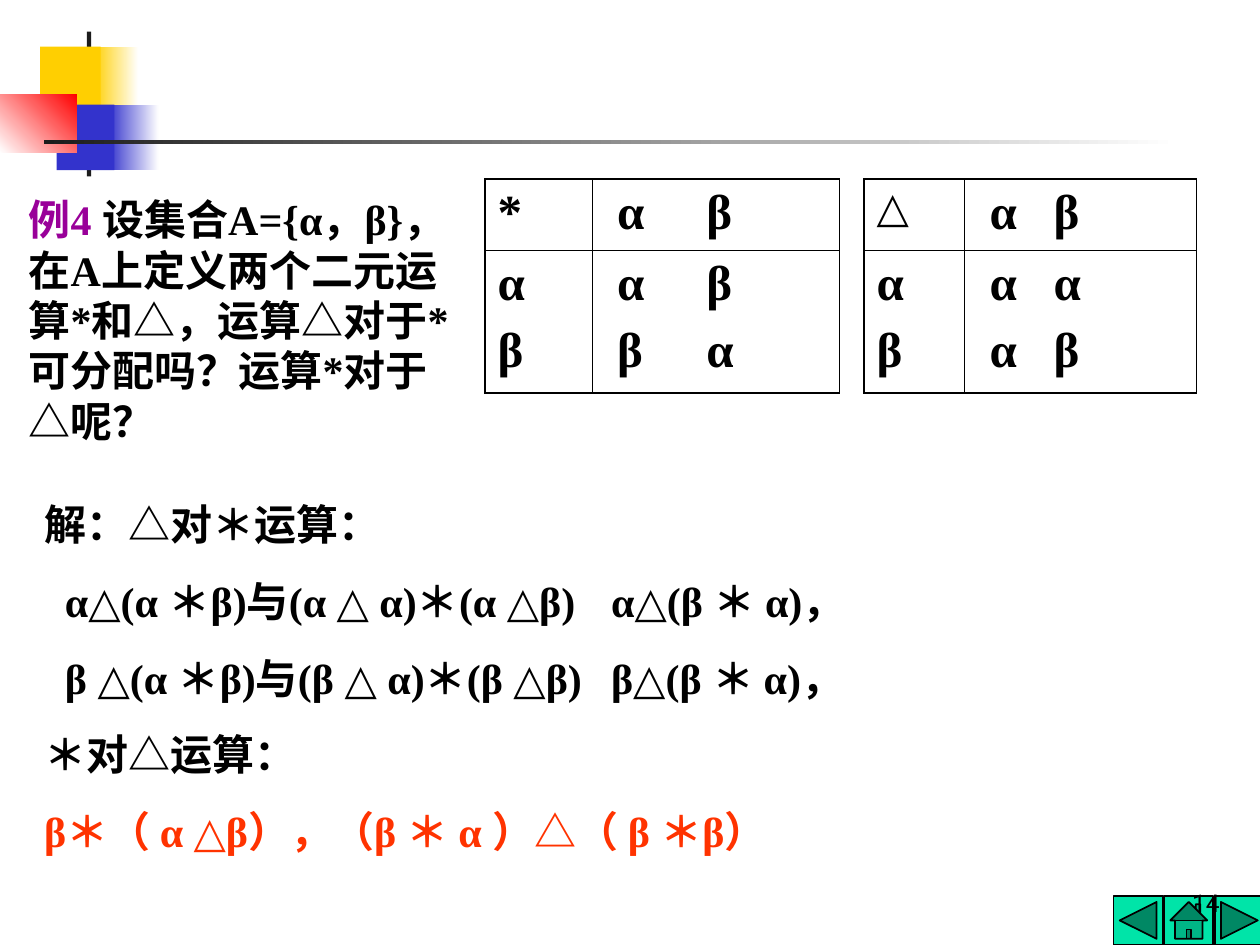
from lxml.etree import SubElement
from pptx import Presentation
from pptx.dml.color import RGBColor
from pptx.enum.shapes import MSO_SHAPE
from pptx.enum.text import MSO_ANCHOR, PP_ALIGN
from pptx.oxml.ns import qn
from pptx.util import Cm, Pt

BLACK = RGBColor(0x00, 0x00, 0x00)
WHITE = RGBColor(0xFF, 0xFF, 0xFF)
CHARCOAL = RGBColor(0x1C, 0x1C, 0x1C)
YELLOW = RGBColor(0xFF, 0xCF, 0x01)
BLUE = RGBColor(0x33, 0x33, 0xCC)
RED = RGBColor(0xFF, 0x00, 0x00)
GREEN = RGBColor(0x00, 0xE4, 0xA8)
PURPLE = RGBColor(0x99, 0x00, 0x99)
ORANGE = RGBColor(0xFF, 0x33, 0x00)

SERIF = "Times New Roman"
OUTER_BORDER = Pt(1.08)
INNER_BORDER = Pt(0.45)


def add_block(slide, left, top, width, height, colors, angle=0):
    shape = slide.shapes.add_shape(
        MSO_SHAPE.RECTANGLE, Cm(left), Cm(top), Cm(width), Cm(height)
    )
    shape.shadow.inherit = False
    shape.line.fill.background()
    if len(colors) == 1:
        shape.fill.solid()
        shape.fill.fore_color.rgb = colors[0]
        return
    shape.fill.gradient()
    shape.fill.gradient_angle = angle
    for stop, color in zip(shape.fill.gradient_stops, colors):
        stop.color.rgb = color


def add_header(slide):
    add_block(slide, 1.88, 0.94, 0.91, 1.32, [YELLOW, WHITE])
    add_block(slide, 2.18, 2.11, 1.02, 1.32, [BLUE, WHITE])
    add_block(slide, 1.75, 0.64, 0.09, 2.92, [CHARCOAL])
    add_block(slide, 0.81, 0.94, 1.22, 1.32, [YELLOW])
    add_block(slide, 1.14, 2.11, 1.17, 1.32, [BLUE])
    add_block(slide, 0, 1.9, 1.55, 1.17, [WHITE, RED], angle=45)
    add_block(slide, 0.89, 2.82, 22.86, 0.09, [CHARCOAL, WHITE])


def add_navigation(slide):
    buttons = (
        MSO_SHAPE.ACTION_BUTTON_BACK_OR_PREVIOUS,
        MSO_SHAPE.ACTION_BUTTON_HOME,
        MSO_SHAPE.ACTION_BUTTON_FORWARD_OR_NEXT,
    )
    for index, button in enumerate(buttons):
        shape = slide.shapes.add_shape(
            button, Cm(22.45 + 1.02 * index), Cm(18.06), Cm(0.99), Cm(0.99)
        )
        shape.shadow.inherit = False
        shape.fill.solid()
        shape.fill.fore_color.rgb = GREEN
        shape.line.color.rgb = BLACK
        shape.line.width = Pt(1)


def add_text_box(slide, left, top, width, height):
    text_frame = slide.shapes.add_textbox(
        Cm(left), Cm(top), Cm(width), Cm(height)
    ).text_frame
    text_frame.word_wrap = True
    return text_frame


def format_paragraph(paragraph, size, color=BLACK, name=SERIF, bold=True):
    paragraph.font.size = Pt(size)
    paragraph.font.name = name
    paragraph.font.bold = bold
    paragraph.font.color.rgb = color


def add_tab_stop(paragraph, position):
    properties = paragraph._p.get_or_add_pPr()
    tab_list = SubElement(properties, qn("a:tabLst"))
    SubElement(tab_list, qn("a:tab"), pos=str(Cm(position)), algn="l")


def write_lines(text_frame, lines, size, space_before, tab_position):
    for index, line in enumerate(lines):
        paragraph = text_frame.paragraphs[0]
        if index:
            paragraph = text_frame.add_paragraph()
            paragraph.space_before = Pt(space_before)
        paragraph.add_run().text = line
        if "\t" in line:
            add_tab_stop(paragraph, tab_position)
        format_paragraph(paragraph, size)
    return text_frame.paragraphs


def set_borders(cell, row, column):
    properties = cell._tc.get_or_add_tcPr()
    widths = (
        ("L", INNER_BORDER if column else OUTER_BORDER),
        ("R", OUTER_BORDER if column else INNER_BORDER),
        ("T", INNER_BORDER if row else OUTER_BORDER),
        ("B", OUTER_BORDER if row else INNER_BORDER),
    )
    for index, (side, width) in enumerate(widths):
        line = SubElement(properties, qn(f"a:ln{side}"), w=str(width))
        fill = SubElement(line, qn("a:solidFill"))
        SubElement(fill, qn("a:srgbClr"), val=str(BLACK))
        properties.insert(index, line)


def add_operation_table(slide, left, widths, tab_position, symbol_size, rows):
    table = slide.shapes.add_table(
        2, 2, Cm(left), Cm(3.61), Cm(sum(widths)), Cm(4.29)
    ).table
    table.first_row = False
    table.horz_banding = False
    for column, width in zip(table.columns, widths):
        column.width = Cm(width)
    for row, height in zip(table.rows, (1.44, 2.85)):
        row.height = Cm(height)
    for row, contents in enumerate(rows):
        for column, lines in enumerate(contents):
            cell = table.cell(row, column)
            cell.margin_left = Cm(0.5 if column else 0.25)
            cell.fill.background()
            set_borders(cell, row, column)
            size = 28 if row or column else symbol_size
            write_lines(cell.text_frame, lines, size, 7, tab_position)


def add_question(slide):
    paragraph = add_text_box(slide, 0.33, 3.78, 9.19, 5.33).paragraphs[0]
    format_paragraph(paragraph, 24)
    label = paragraph.add_run()
    label.text = "例4 "
    label.font.color.rgb = PURPLE
    paragraph.add_run().text = (
        "设集合A={α，β}，在A上定义两个二元运算*和△，"
        "运算△对于*可分配吗？运算*对于△呢？"
    )


def add_solution(slide):
    lines = (
        "解：△对＊运算：",
        "α△(α ＊β)与(α △ α)＊(α △β)\tα△(β ＊ α)，",
        "β △(α ＊β)与(β △ α)＊(β △β)\tβ△(β ＊ α)，",
        "＊对△运算：",
        "β＊（ α △β），（β ＊ α ）△（ β ＊β）",
    )
    text_frame = add_text_box(slide, 0.64, 9.93, 24.08, 7.47)
    paragraphs = write_lines(text_frame, lines, 24, 15, 15.42)
    for paragraph in paragraphs[1:3]:
        paragraph._p.get_or_add_pPr().set("indent", str(Cm(0.42)))
    paragraphs[-1].font.color.rgb = ORANGE


def add_page_number(slide):
    text_frame = add_text_box(slide, 19.56, 17.35, 5.28, 1.27)
    text_frame.vertical_anchor = MSO_ANCHOR.BOTTOM
    paragraph = text_frame.paragraphs[0]
    paragraph.add_run().text = "14"
    paragraph.alignment = PP_ALIGN.RIGHT
    format_paragraph(paragraph, 14, name="Roboto", bold=False)


def main():
    presentation = Presentation()
    presentation.slide_width = Cm(25.4)
    presentation.slide_height = Cm(19.05)
    slide = presentation.slides.add_slide(presentation.slide_layouts[6])
    add_header(slide)
    add_navigation(slide)
    add_page_number(slide)
    add_question(slide)
    add_solution(slide)
    add_operation_table(
        slide, 9.78, (2.16, 4.98), 1.8, 28,
        ((["*"], ["α\tβ"]), (["α", "β"], ["α\tβ", "β\tα"])),
    )
    add_operation_table(
        slide, 17.42, (2.03, 4.67), 1.29, 24,
        ((["△"], ["α\tβ"]), (["α", "β"], ["α\tα", "α\tβ"])),
    )
    presentation.save("out.pptx")


if __name__ == "__main__":
    main()
